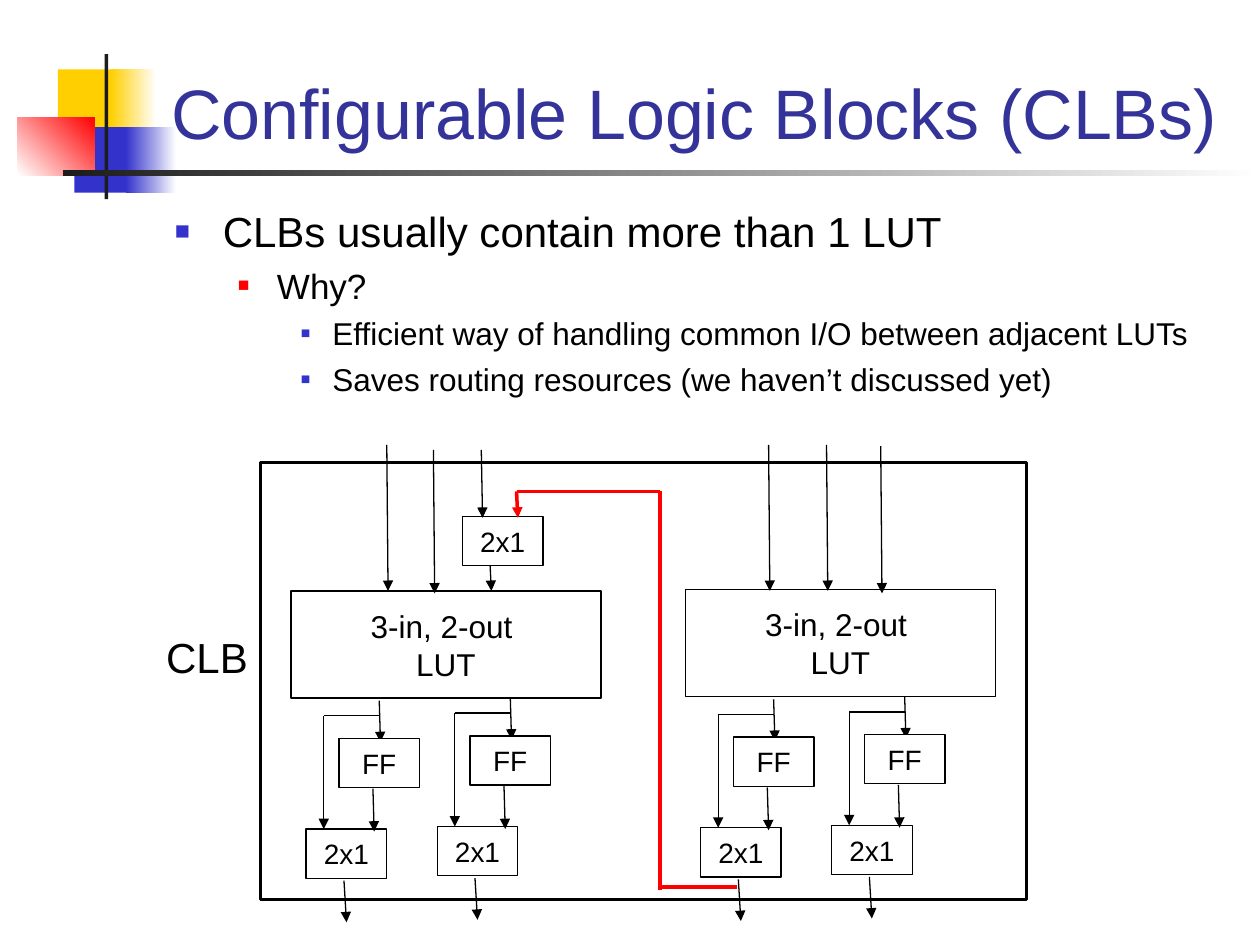
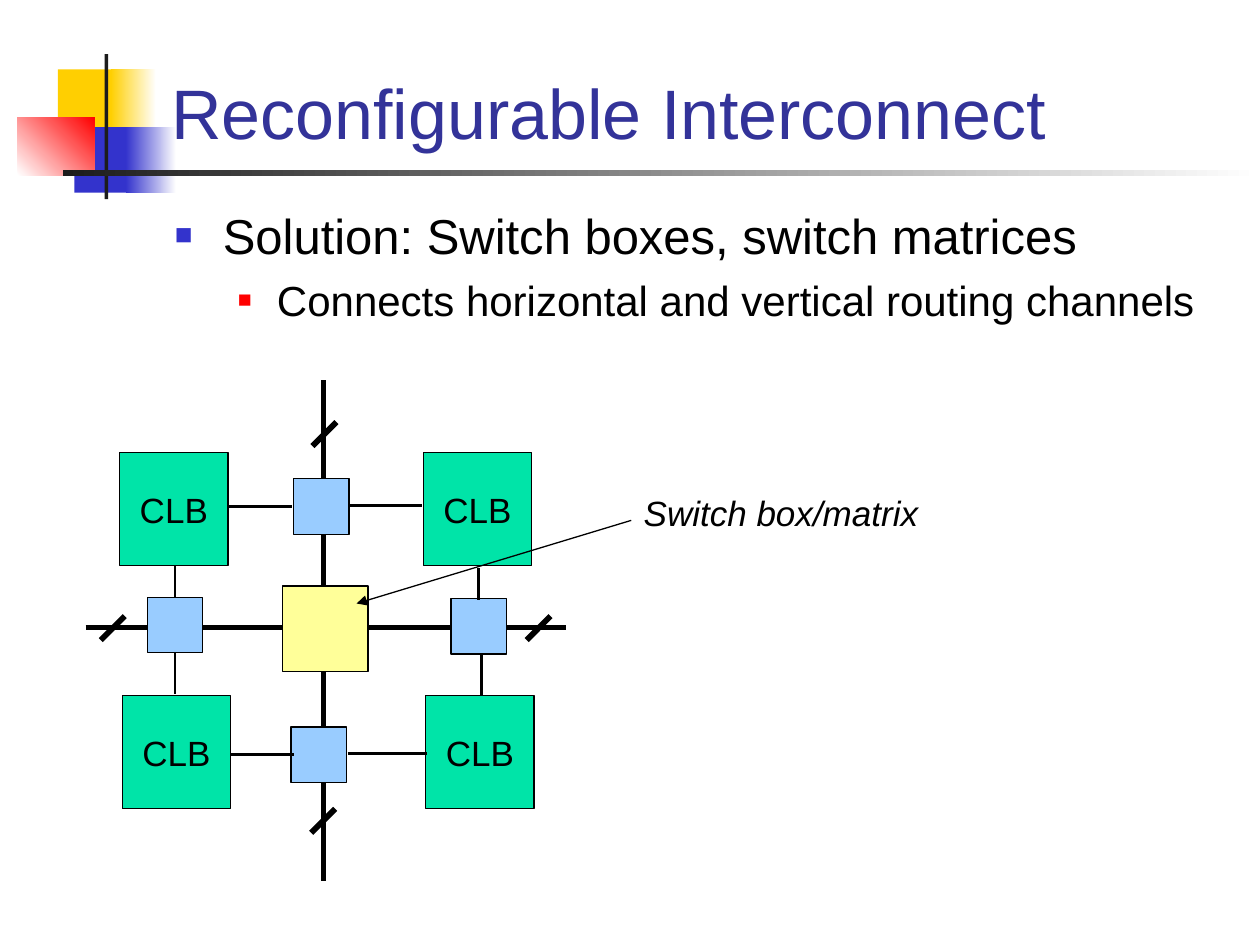
from lxml import etree
from pptx import Presentation
from pptx import util as u
from pptx.dml.color import RGBColor
from pptx.enum import shapes, text
from pptx.oxml.ns import qn

INK = {
    "black": "000000", "white": "FFFFFF", "title": "333399", "dark": "1C1C1C",
    "gold": "FFCF01", "blue": "3333CC", "red": "FF0000",
    "green": "00E4A8", "sky": "99CCFF", "cream": "FFFF99",
}
# indent of text, hanging width, bullet colour, bullet size in percent
LEVELS = [(0.38, 0.38, "blue", 60), (0.81, 0.31, "red", 55), (1.25, 0.25, "blue", 50)]


def rgb(name):
    return RGBColor.from_string(INK[name])


def node(parent, tag, **attrs):
    return etree.SubElement(parent, qn(tag), attrs)


class Deck:
    font = "Arial"

    def __init__(self):
        self.prs = Presentation()
        self.prs.slide_width, self.prs.slide_height = u.Inches(10), u.Inches(7.5)
        self.slide = None

    def page(self, title):
        """Start a slide with the shared ornament and title."""
        self.slide = self.prs.slides.add_slide(self.prs.slide_layouts[6])
        self.box(0.46, 0.55, 0.48, 0.52, "gold", None)
        self.fade(0.88, 0.55, 0.36, 0.52, "gold", "white")
        self.box(0.59, 1.01, 0.46, 0.52, "blue", None)
        self.fade(1, 1.01, 0.4, 0.52, "blue", "white")
        self.fade(0.14, 0.93, 0.61, 0.46, "white", "red", 45)
        self.box(0.83, 0.43, 0.03, 1.15, "dark", None)
        self.fade(0.5, 1.35, 9.5, 0.05, "dark", "white")
        self.label(1.26, 0.02, 8.52, 1.25, title, 40, "title",
                   anchor=text.MSO_ANCHOR.BOTTOM)

    def run(self, para, words, size, color="black", italic=False):
        run = para.add_run()
        run.text = words
        font = run.font
        font.name, font.size, font.italic = self.font, u.Pt(size), italic
        font.color.rgb = rgb(color)

    def box(self, x, y, w, h, fill=None, line="black", width=0.75, lines=(), size=16):
        """Draw a rectangle with optional centred lines of text."""
        shape = self.slide.shapes.add_shape(
            shapes.MSO_SHAPE.RECTANGLE, *map(u.Inches, (x, y, w, h)))
        shape.shadow.inherit = False
        if fill:
            shape.fill.solid()
            shape.fill.fore_color.rgb = rgb(fill)
        else:
            shape.fill.background()
        if line:
            shape.line.color.rgb = rgb(line)
            shape.line.width = u.Pt(width)
        else:
            shape.line.fill.background()
        frame = shape.text_frame
        frame.word_wrap = False
        frame.vertical_anchor = text.MSO_ANCHOR.MIDDLE
        for i, words in enumerate(lines):
            para = frame.add_paragraph() if i else frame.paragraphs[0]
            para.alignment = text.PP_ALIGN.CENTER
            self.run(para, words, size)
        return shape

    def fade(self, x, y, w, h, start, end, angle=0):
        """Draw a rectangle with a two-colour gradient."""
        fill = self.box(x, y, w, h, line=None).fill
        fill.gradient()
        fill.gradient_angle = angle
        for stop, name, place in zip(fill.gradient_stops, (start, end), (0, 1)):
            stop.color.rgb = rgb(name)
            stop.position = place

    def line(self, x1, y1, x2, y2, width=0.75, color="black", arrow=False):
        link = self.slide.shapes.add_connector(
            shapes.MSO_CONNECTOR.STRAIGHT, *map(u.Inches, (x1, y1, x2, y2)))
        link.line.color.rgb = rgb(color)
        link.line.width = u.Pt(width)
        props = link._element.spPr
        if arrow:
            node(props.find(qn("a:ln")), "a:tailEnd", type="triangle")
        node(props, "a:effectLst")

    def arrow(self, x1, y1, x2, y2, width=0.75, color="black"):
        self.line(x1, y1, x2, y2, width, color, True)

    def frame(self, x, y, w, h):
        shape = self.slide.shapes.add_textbox(*map(u.Inches, (x, y, w, h)))
        shape.text_frame.word_wrap = True
        return shape.text_frame

    def label(self, x, y, w, h, words, size, color="black", italic=False,
              anchor=text.MSO_ANCHOR.TOP):
        frame = self.frame(x, y, w, h)
        frame.vertical_anchor = anchor
        self.run(frame.paragraphs[0], words, size, color, italic)

    def body(self, items):
        """Write bullets from (level, size, words) items."""
        frame = self.frame(1.29, 1.58, 8.5, 5.12)
        for i, (level, size, words) in enumerate(items):
            para = frame.add_paragraph() if i else frame.paragraphs[0]
            if i:
                para.space_before = u.Pt(size / 4)
            para.level = level
            left, hang, color, scale = LEVELS[level]
            props = para._p.get_or_add_pPr()
            props.set("marL", str(u.Inches(left)))
            props.set("indent", str(-u.Inches(hang)))
            node(node(props, "a:buClr"), "a:srgbClr", val=INK[color])
            node(props, "a:buSzPct", val=str(scale * 1000))
            node(props, "a:buFont", typeface=self.font)
            node(props, "a:buChar", char="■")
            self.run(para, words, size)


def chip(deck, x, y, words):
    deck.box(x, y, 0.64, 0.39, "white", lines=[words])


def lane(deck, x, y):
    """Draw one LUT output: flip-flop at x, y, its bypass and the 2x1 below."""
    deck.arrow(x + 0.32, y - 0.3, x + 0.33, y + 0.03)
    chip(deck, x, y, "FF")
    chip(deck, x - 0.26, y + 0.72, "2x1")
    deck.arrow(x - 0.12, y - 0.18, x - 0.12, y + 0.72)
    deck.arrow(x + 0.27, y + 0.4, x + 0.28, y + 0.74)
    deck.line(x - 0.12, y - 0.18, x + 0.32, y - 0.18)
    deck.arrow(x + 0.04, y + 1.13, x + 0.06, y + 1.46)


def blocks(deck):
    deck.page("Configurable Logic Blocks (CLBs)")
    deck.body([
        (0, 24, "CLBs usually contain more than 1 LUT"),
        (1, 20, "Why?"),
        (2, 18, "Efficient way of handling common I/O between adjacent LUTs"),
        (2, 18, "Saves routing resources (we haven’t discussed yet)"),
    ])
    for x, y in ((5.44, 4.68), (2.31, 4.69)):
        deck.box(x, y, 2.46, 0.85, lines=["3-in, 2-out ", "LUT"], size=18)
        lane(deck, x + 1.42, y + 1.15)
        lane(deck, x + 0.38, y + 1.17)
    chip(deck, 3.67, 4.1, "2x1")
    inputs = [(3.07, 3.53, 4.69), (3.44, 3.57, 4.71), (3.82, 3.57, 4.11),
              (3.89, 4.49, 4.69), (6.1, 3.53, 4.69), (6.56, 3.53, 4.69),
              (6.99, 3.54, 4.71)]
    for x, top, end in inputs:
        deck.arrow(x, top, x + 0.01, end)
    deck.line(5.85, 7.04, 5.24, 7.04, 2, "red")
    deck.line(5.24, 3.9, 5.24, 7.06, 2, "red")
    deck.line(4.1, 3.9, 5.24, 3.9, 2, "red")
    deck.arrow(4.1, 3.9, 4.11, 4.11, 2, "red")
    deck.box(2.07, 3.67, 6.08, 3.47, width=1.75)
    deck.label(1.22, 4.96, 1.15, 0.5, "CLB", 24)


def mesh(deck):
    deck.page("Reconfigurable Interconnect")
    deck.body([
        (0, 28, "Solution: Switch boxes, switch matrices"),
        (1, 24, "Connects horizontal and vertical routing channels"),
    ])
    for y, shift in ((3.59, 0), (5.52, 0.02)):
        for x in (0.95, 3.36):
            deck.box(x + shift, y, 0.86, 0.9, "green", lines=["CLB"], size=20)
    deck.line(0.68, 4.98, 4.49, 4.98, 3)
    deck.line(2.57, 3.02, 2.57, 6.99, 3)
    deck.box(2.24, 4.65, 0.68, 0.68, "cream")
    for x, y in ((2.33, 3.8), (2.31, 5.77), (3.58, 4.75), (1.17, 4.74)):
        deck.box(x, y, 0.44, 0.44, "sky")
    for x, y in ((2.48, 3.35), (2.47, 6.42), (4.18, 4.89), (0.8, 4.89)):
        deck.line(x + 0.19, y, x, y + 0.19, 3.25)
    deck.label(5.01, 3.85, 2.45, 0.44, "Switch box/matrix", 20, italic=True)
    deck.arrow(5.01, 4.13, 2.83, 4.79)
    for x, top, end in ((1.39, 4.49, 4.74), (1.39, 5.18, 5.51),
                        (3.8, 4.51, 4.76), (3.82, 5.2, 5.52)):
        deck.line(x, top, x, end, 1.5)
    for y, left, right in ((4.02, 1.82, 2.32), (4.01, 2.78, 3.35),
                           (5.99, 1.83, 2.33), (5.98, 2.76, 3.39)):
        deck.line(left, y, right, y, 1.5)


def main():
    deck = Deck()
    blocks(deck)
    mesh(deck)
    deck.prs.save("out.pptx")


if __name__ == "__main__":
    main()
